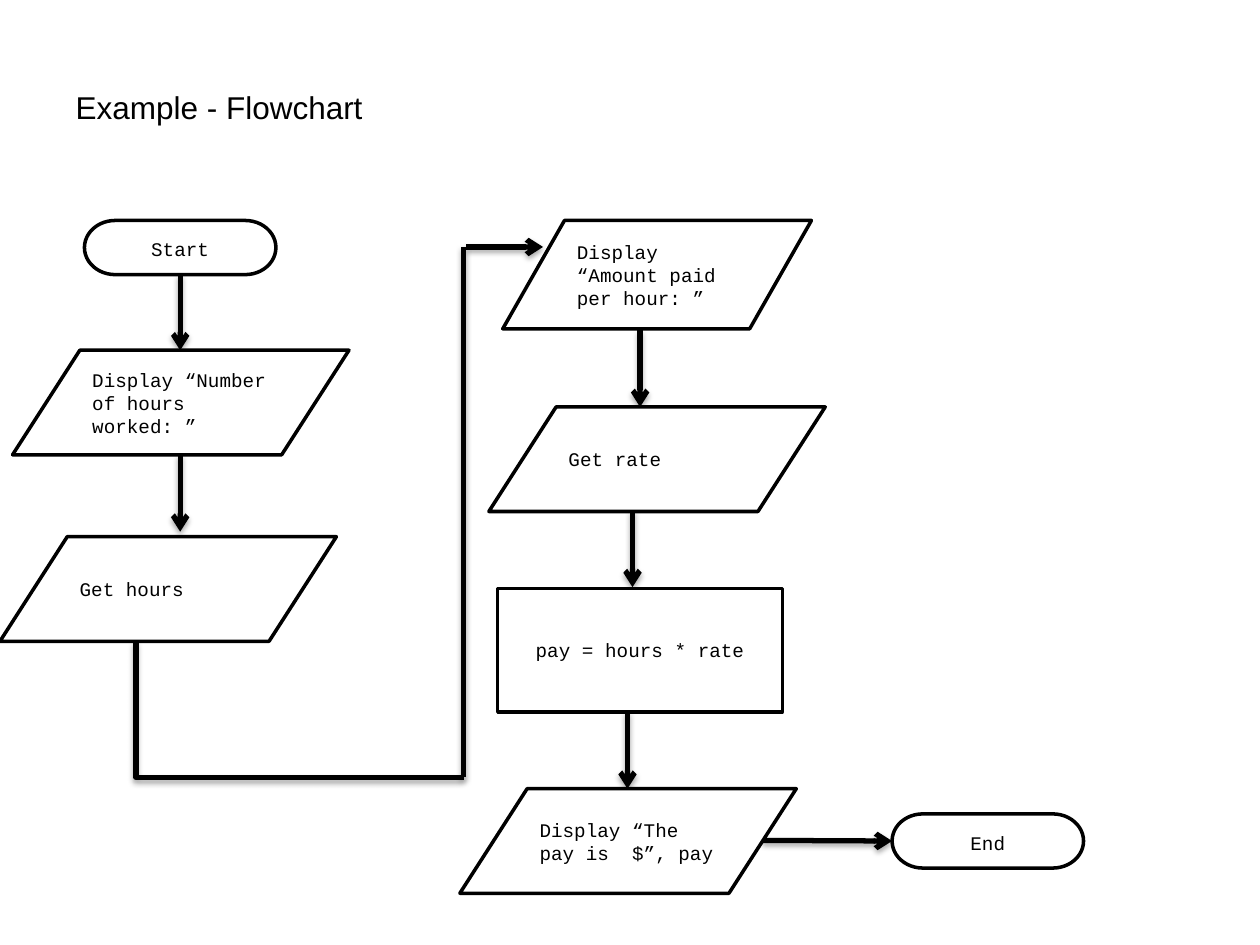
from lxml import etree
from pptx import Presentation
from pptx.dml.color import RGBColor
from pptx.enum.shapes import MSO_CONNECTOR as LINK, MSO_SHAPE as SHAPE
from pptx.enum.text import MSO_ANCHOR as ANCHOR, PP_ALIGN as ALIGN
from pptx.oxml import parse_xml
from pptx.oxml.ns import nsdecls, qn
from pptx.util import Inches, Pt

BLACK = RGBColor(0, 0, 0)
WHITE = RGBColor(255, 255, 255)
SHADOW = (
    f'<a:effectLst {nsdecls("a")}>'
    '<a:outerShdw blurRad="40000" dist="23000" dir="5400000" rotWithShape="0">'
    '<a:srgbClr val="000000"><a:alpha val="35000"/></a:srgbClr>'
    '</a:outerShdw></a:effectLst>'
)


def add_step(kind, text, left, top, width, height):
    box = page.shapes.add_shape(
        kind, Inches(left), Inches(top), Inches(width), Inches(height))
    box.shadow.inherit = False
    box.fill.solid()
    box.fill.fore_color.rgb = WHITE
    box.line.color.rgb = BLACK
    box.line.width = Pt(2)
    frame = box.text_frame
    frame.word_wrap = True
    frame.vertical_anchor = ANCHOR.MIDDLE
    para = frame.paragraphs[0]
    para.text = text
    para.alignment = ALIGN.LEFT if kind == IN_OUT else ALIGN.CENTER
    if kind == TERMINAL:
        para.line_spacing = 1.15
        para.space_after = Pt(10)
    para.font.name = "Courier New"
    para.font.size = Pt(11)
    para.font.color.rgb = BLACK
    return box


def add_link(x1, y1, x2, y2, arrow=True, kind=LINK.STRAIGHT):
    link = page.shapes.add_connector(
        kind, Inches(x1), Inches(y1), Inches(x2), Inches(y2))
    link.line.color.rgb = BLACK
    link.line.width = Pt(3)
    if arrow:
        outline = link.line._get_or_add_ln()
        etree.SubElement(outline, qn("a:tailEnd"), type="arrow")
    link._element.spPr.append(parse_xml(SHADOW))
    return link


deck = Presentation()
deck.slide_width = Inches(10)
deck.slide_height = Inches(7.5)
page = deck.slides.add_slide(deck.slide_layouts[5])

# Title
title = page.shapes.title
title.left, title.top = Inches(0.6), Inches(0.12)
title.width, title.height = Inches(8.79), Inches(1.46)
frame = title.text_frame
frame.margin_left = frame.margin_right = 0
frame.margin_top = frame.margin_bottom = 0
frame.vertical_anchor = ANCHOR.MIDDLE
para = frame.paragraphs[0]
para.text = "Example - Flowchart"
para.alignment = ALIGN.LEFT
para.font.name = "Arial"
para.font.size = Pt(18)
para.font.color.rgb = BLACK

# Start and end
TERMINAL = SHAPE.FLOWCHART_TERMINATOR
IN_OUT = SHAPE.FLOWCHART_DATA
start = add_step(TERMINAL, "Start", 0.67, 1.75, 1.52, 0.43)
end = add_step(TERMINAL, "End", 7.08, 6.46, 1.52, 0.43)

# Arrows down both columns, and the one to the end
start_arrow = add_link(1.43, 2.18, 1.43, 2.78)
start_arrow.begin_connect(start, 2)
for x, top in [(1.43, 3.61), (5.08, 2.62), (5.02, 4.05), (4.98, 5.65)]:
    add_link(x, top, x, top + 0.61)
end_arrow = add_link(6.05, 6.67, 7.08, 6.67)
end_arrow.end_connect(end, 1)

# Route from the first column to the second
elbow = add_link(1.84, 4.33, 2.92, 6.93, arrow=False, kind=LINK.ELBOW)
elbow._element.spPr.find(qn("a:prstGeom")).set("prst", "bentConnector2")
turn = elbow._element.spPr.find(qn("a:xfrm"))
turn.set("rot", "16200000")
turn.set("flipH", "1")
add_link(3.68, 6.17, 3.68, 1.96, arrow=False)
add_link(3.7, 1.96, 4.31, 1.96)

# Input, output and processing steps
for text, left, top, width, height in [
    ("Display “Number of hours worked: ”", 0.1, 2.78, 2.67, 0.83),
    ("Get hours", 0, 4.26, 2.67, 0.83),
    ("Display “Amount paid per hour: ”", 3.99, 1.75, 2.45, 0.86),
    ("Get rate", 3.88, 3.23, 2.67, 0.83),
    ("Display “The pay is  $”, pay", 3.65, 6.26, 2.67, 0.83),
]:
    add_step(IN_OUT, text, left, top, width, height)
add_step(SHAPE.FLOWCHART_PROCESS, "pay = hours * rate", 3.95, 4.67, 2.26, 0.98)

deck.save("out.pptx")
